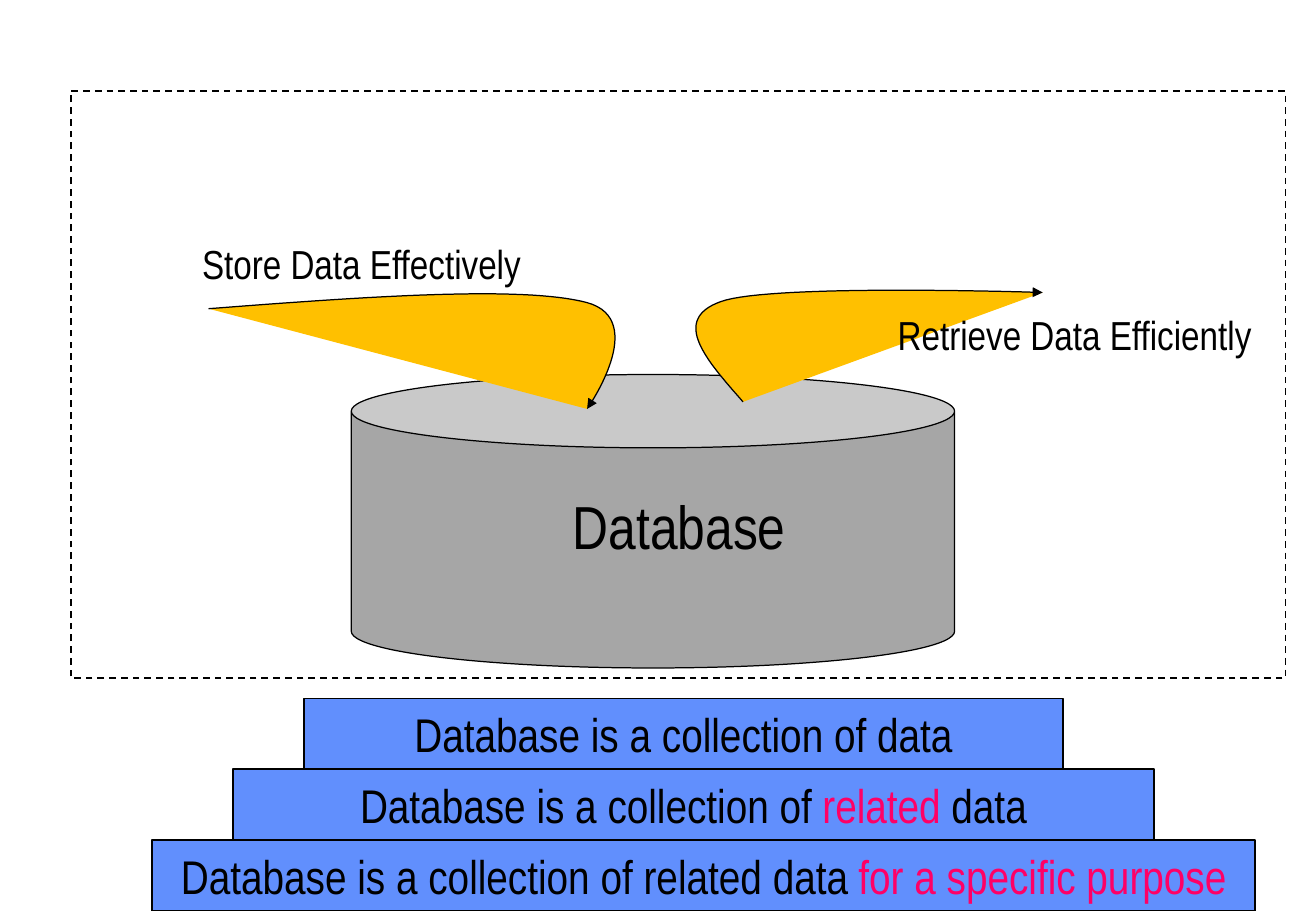
from lxml import etree
from pptx import Presentation
from pptx import util as u
from pptx.dml.color import RGBColor
from pptx.enum import dml, shapes, text
from pptx.oxml.ns import qn

CELL = u.Inches(1) / 12  # the slide is a grid of 130 columns by 90 rows
COLUMNS, ROWS = 130, 90
FONT = "Arial Narrow"
COLORS = {"ink": "000000", "accent": "FF0066", "step": "618FFD",
          "store": "A6A6A6", "flow": "FFC000"}
CURVE_STEPS = 32

STEPS = [  # left column, width in columns, runs
    (30, 75, [("Database is a collection of data", "ink")]),
    (23, 91, [("Database is a collection of ", "ink"), ("related", "accent"),
              (" data", "ink")]),
    (15, 109, [("Database is a collection of related data ", "ink"),
               ("for a specific purpose", "accent")]),
]
STEP_TOP, STEP_HEIGHT = 69, 7

# Each flow is a start point followed by cubic segments of three points.
STORE_FLOW = [(20.6, 30.5), (36.1, 29.3), (51.7, 28.2), (58, 29.9),
              (64.2, 31.6), (58, 40.4), (58, 40.4)]
RETRIEVE_FLOW = [(73.4, 39.7), (69.8, 35.6), (66.2, 31.6), (71.2, 29.8),
                 (76.1, 28), (103, 28.9), (103, 28.9)]


def grid(*cells):
    return [round(cell * CELL) for cell in cells]


def color(name):
    return RGBColor.from_string(COLORS[name])


def set_all(target, values):
    for name, value in values.items():
        setattr(target, name, value)


def style(shape, fill=None, width=0.75):
    shape.shadow.inherit = False
    if fill:
        shape.fill.solid()
        shape.fill.fore_color.rgb = color(fill)
    else:
        shape.fill.background()
    shape.line.color.rgb = color("ink")
    shape.line.width = u.Pt(width)


def write(shape, runs, size, **frame_format):
    frame = shape.text_frame
    set_all(frame, {"word_wrap": True, **frame_format})
    para = frame.paragraphs[0]
    para.alignment = text.PP_ALIGN.CENTER
    for words, ink in runs:
        span = para.add_run()
        span.text = words
        set_all(span.font, {"name": FONT, "size": u.Pt(size)})
        span.font.color.rgb = color(ink)


def add_block(page, kind, place, fill=None, width=0.75):
    block = page.shapes.add_shape(kind, *grid(*place))
    style(block, fill, width)
    return block


def add_label(page, words, place):
    label = page.shapes.add_textbox(*grid(*place))
    write(label, [(words, "ink")], 24)


def curve_points(points):
    """Sample each cubic segment after the start point."""
    for first in range(0, len(points) - 1, 3):
        a, b, c, d = points[first:first + 4]
        for step in range(1, CURVE_STEPS + 1):
            t = step / CURVE_STEPS
            weights = ((1 - t) ** 3, 3 * t * (1 - t) ** 2, 3 * t * t * (1 - t), t ** 3)
            yield grid(*(sum(w * p[axis] for w, p in zip(weights, (a, b, c, d)))
                         for axis in (0, 1)))


def add_flow(page, points):
    builder = page.shapes.build_freeform(*grid(*points[0]))
    builder.add_line_segments(curve_points(points), close=False)
    flow = builder.convert_to_shape()
    style(flow, "flow")
    etree.SubElement(flow.line._get_or_add_ln(), qn("a:tailEnd"), type="triangle")


def main():
    deck = Presentation()
    deck.slide_width, deck.slide_height = grid(COLUMNS, ROWS)
    page = deck.slides.add_slide(deck.slide_layouts[6])
    kinds = shapes.MSO_SHAPE

    database = add_block(page, kinds.CAN, (34.7, 37, 59.6, 29), "store")
    write(database, [("Database", "ink")], 36,
          vertical_anchor=text.MSO_ANCHOR.TOP,
          margin_top=u.Inches(0.34), margin_left=u.Inches(0.53))

    add_flow(page, STORE_FLOW)
    add_label(page, "Store Data Effectively", (15.1, 23, 41.2, 6))
    add_flow(page, RETRIEVE_FLOW)
    add_label(page, "Retrieve Data Efficiently", (84.5, 30, 43.3, 6))

    for row, (left, width, runs) in enumerate(STEPS):
        place = (left, STEP_TOP + row * STEP_HEIGHT, width, STEP_HEIGHT)
        step = add_block(page, kinds.RECTANGLE, place, "step", 1)
        write(step, runs, 28, vertical_anchor=text.MSO_ANCHOR.MIDDLE)

    boundary = add_block(page, kinds.RECTANGLE, (7, 9, 120, 58), width=1)
    boundary.line.dash_style = dml.MSO_LINE.DASH

    deck.save("out.pptx")


if __name__ == "__main__":
    main()
